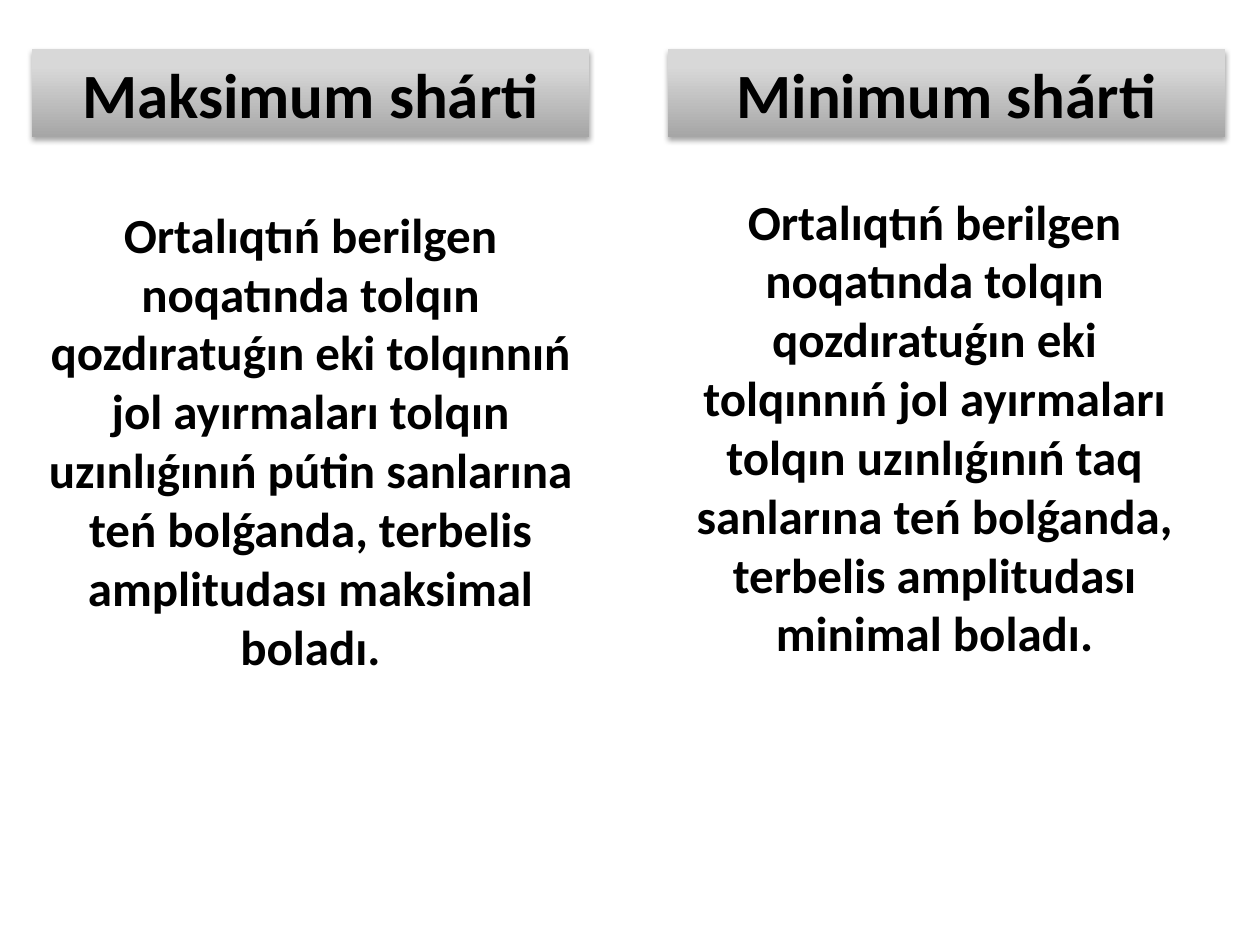
"""Build a slide that sets the maximum and minimum conditions side by side."""
from copy import deepcopy

from pptx import Presentation
from pptx.dml.color import RGBColor
from pptx.enum.shapes import MSO_SHAPE
from pptx.enum.text import MSO_ANCHOR, PP_ALIGN
from pptx.oxml import parse_xml
from pptx.oxml.ns import nsdecls, qn
from pptx.util import Pt

PX = 914400 / 126
BLACK = RGBColor(0, 0, 0)
STOPS = [
    (0, RGBColor(0xA6, 0xA6, 0xA6)),
    (0.8, RGBColor(0xD8, 0xD8, 0xD8)),
    (1, RGBColor(0xD9, 0xD9, 0xD9)),
]
SHADOW = (
    f'<a:effectLst {nsdecls("a")}>'
    '<a:outerShdw blurRad="39370" dist="22860" dir="5400000" rotWithShape="0">'
    '<a:srgbClr val="000000"><a:alpha val="35000"/></a:srgbClr>'
    '</a:outerShdw></a:effectLst>'
)
COLUMNS = [
    {
        "title": "Maksimum shárti",
        "head": (32, 49, 557, 88),
        "text": "Ortalıqtıń berilgen noqatında tolqın qozdıratuǵın eki tolqınnıń "
                "jol ayırmaları tolqın uzınlıǵınıń pútin sanlarına teń bolǵanda, "
                "terbelis amplitudası maksimal boladı.",
        "body": (34, 198, 553, 659),
        "indent": 0,
    },
    {
        "title": "Minimum shárti",
        "head": (668, 49, 557, 88),
        "text": "Ortalıqtıń berilgen noqatında tolqın qozdıratuǵın eki tolqınnıń "
                "jol ayırmaları tolqın uzınlıǵınıń taq sanlarına teń bolǵanda, "
                "terbelis amplitudası minimal boladı.",
        "body": (620, 185, 581, 670),
        "indent": 48,
    },
]


def emu(px):
    return round(px * PX)


def write(shape, text, size, anchor, indent=0):
    frame = shape.text_frame
    frame.word_wrap = True
    frame.vertical_anchor = anchor
    para = frame.paragraphs[0]
    para.alignment = PP_ALIGN.CENTER
    if indent:
        para._p.get_or_add_pPr().set("marL", str(emu(indent)))
    run = para.add_run()
    run.text = text
    font = run.font
    font.name, font.size, font.bold = "Calibri", Pt(size), True
    font.color.rgb = BLACK


def shade(shape):
    shape.line.fill.background()
    shape.fill.gradient()
    shape.fill.gradient_angle = 90
    props = shape._element.spPr
    group = props.find(qn("a:gradFill")).find(qn("a:gsLst"))
    group.append(deepcopy(group[-1]))
    for stop, (place, color) in zip(shape.fill.gradient_stops, STOPS):
        stop.position = place
        stop.color.rgb = color
    props.append(parse_xml(SHADOW))


def main():
    deck = Presentation()
    deck.slide_width, deck.slide_height = emu(1260), emu(945)
    slide = deck.slides.add_slide(deck.slide_layouts[6])
    for col in COLUMNS:
        head = slide.shapes.add_shape(MSO_SHAPE.RECTANGLE, *map(emu, col["head"]))
        shade(head)
        write(head, col["title"], 36, MSO_ANCHOR.BOTTOM)
        body = slide.shapes.add_textbox(*map(emu, col["body"]))
        write(body, col["text"], 28, MSO_ANCHOR.TOP, col["indent"])
    deck.save("out.pptx")


if __name__ == "__main__":
    main()
